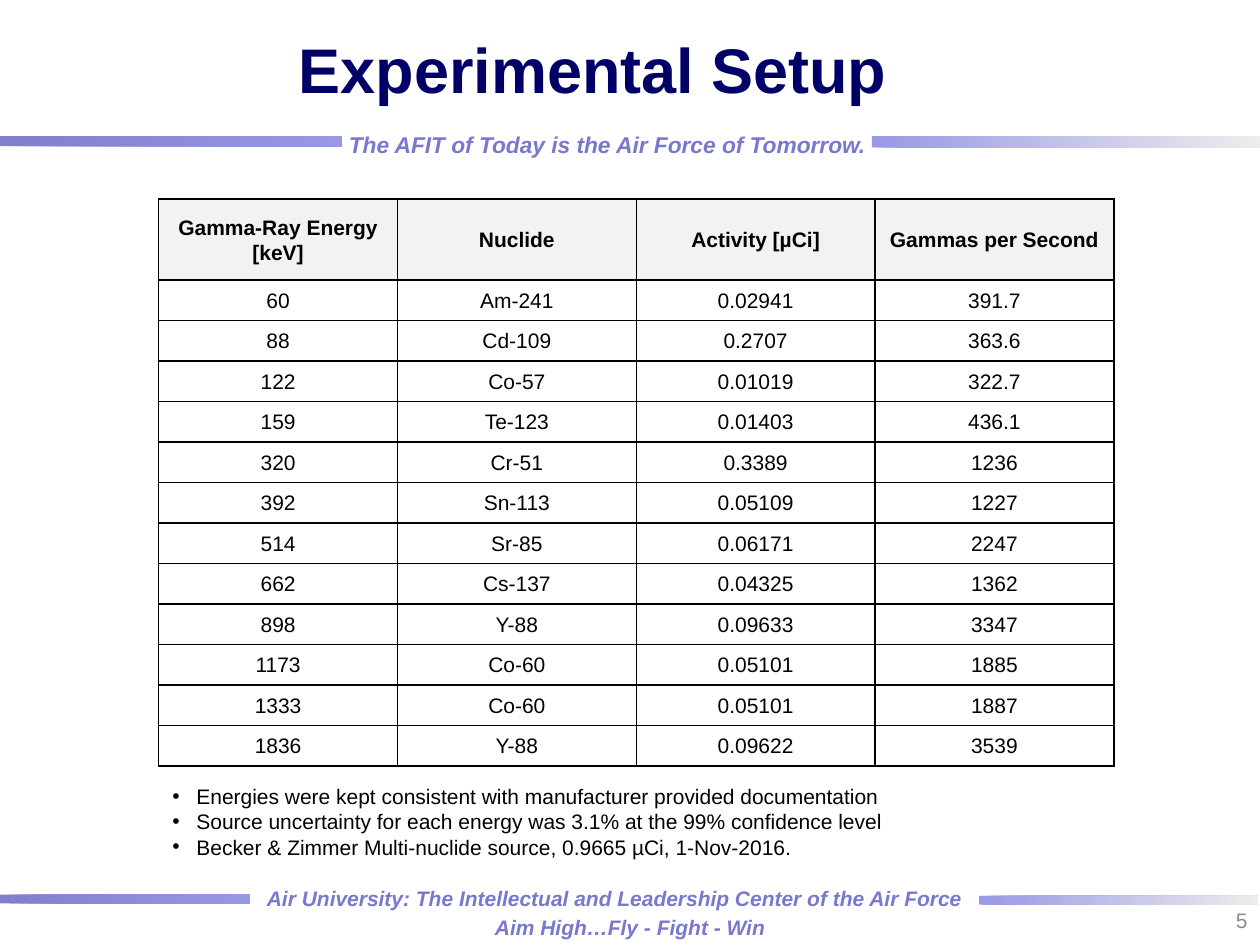
from lxml import etree
from pptx import Presentation
from pptx.dml.color import RGBColor
from pptx.enum.shapes import MSO_SHAPE
from pptx.enum.text import MSO_ANCHOR, PP_ALIGN
from pptx.oxml.ns import qn
from pptx.util import Inches, Pt

RECTANGLE = MSO_SHAPE.RECTANGLE
TOP, MIDDLE = MSO_ANCHOR.TOP, MSO_ANCHOR.MIDDLE
LEFT, CENTER, RIGHT = PP_ALIGN.LEFT, PP_ALIGN.CENTER, PP_ALIGN.RIGHT

NAVY = RGBColor(0x00, 0x00, 0x66)
DEEP_BLUE = RGBColor(0x00, 0x00, 0x99)
BLUE = RGBColor(0x33, 0x33, 0xCC)
LAVENDER = RGBColor(0x78, 0x78, 0xCE)
SILVER = RGBColor(0xDD, 0xDD, 0xDD)
GRAY = RGBColor(0x8C, 0x8C, 0x8C)
HEADER_GRAY = RGBColor(0xF2, 0xF2, 0xF2)
BLACK = RGBColor(0x00, 0x00, 0x00)
WHITE = RGBColor(0xFF, 0xFF, 0xFF)

HEADINGS = ("Gamma-Ray Energy [keV]", "Nuclide", "Activity [µCi]", "Gammas per Second")
SOURCES = (
    ("60", "Am-241", "0.02941", "391.7"),
    ("88", "Cd-109", "0.2707", "363.6"),
    ("122", "Co-57", "0.01019", "322.7"),
    ("159", "Te-123", "0.01403", "436.1"),
    ("320", "Cr-51", "0.3389", "1236"),
    ("392", "Sn-113", "0.05109", "1227"),
    ("514", "Sr-85", "0.06171", "2247"),
    ("662", "Cs-137", "0.04325", "1362"),
    ("898", "Y-88", "0.09633", "3347"),
    ("1173", "Co-60", "0.05101", "1885"),
    ("1333", "Co-60", "0.05101", "1887"),
    ("1836", "Y-88", "0.09622", "3539"),
)
NOTES = (
    "Energies were kept consistent with manufacturer provided documentation",
    "Source uncertainty for each energy was 3.1% at the 99% confidence level",
    "Becker & Zimmer Multi-nuclide source, 0.9665 µCi, 1-Nov-2016.",
)


class SlideBuilder:
    """Places styled elements on a page divided into 100 columns and 75 rows."""

    font = "Arial"
    size = 12
    columns, rows = 100, 75

    def __init__(self, deck):
        self.deck = deck
        self.page = deck.slides.add_slide(deck.slide_layouts[6])

    def area(self, column, row, width, height):
        """Turn grid units into left, top, width and height."""
        across = self.deck.slide_width / self.columns
        down = self.deck.slide_height / self.rows
        return (round(column * across), round(row * down),
                round(width * across), round(height * down))

    def style(self, para, color=BLACK, size=size, bold=False, italic=False, align=LEFT):
        para.alignment = align
        for span in para.runs:
            span.font.name = self.font
            span.font.size = Pt(size)
            span.font.bold = bold
            span.font.italic = italic
            span.font.color.rgb = color

    def text(self, area, words, anchor=TOP, wrap=True, **style):
        box = self.page.shapes.add_textbox(*self.area(*area))
        frame = box.text_frame
        frame.word_wrap = wrap
        frame.vertical_anchor = anchor
        frame.text = words
        for para in frame.paragraphs:
            self.style(para, **style)
        return frame

    def motto(self, area, words, size=size):
        self.text(area, words, wrap=False, color=LAVENDER, size=size, bold=True, italic=True)

    def bullets(self, area, lines):
        frame = self.text(area, "\n".join(lines))
        indent = Inches(0.19)
        for para in frame.paragraphs:
            properties = para._p.get_or_add_pPr()
            properties.set("marL", str(indent))
            properties.set("indent", str(-indent))
            etree.SubElement(properties, qn("a:buFont"), typeface=self.font)
            etree.SubElement(properties, qn("a:buChar"), char="•")

    def band(self, area, start, end):
        """Draw a half-transparent bar that fades from left to right."""
        bar = self.page.shapes.add_shape(RECTANGLE, *self.area(*area))
        bar.shadow.inherit = False
        bar.line.fill.background()
        bar.fill.gradient()
        bar.fill.gradient_angle = 0
        for stop, color in zip(bar.fill.gradient_stops, (start, end)):
            stop.color.rgb = color
        for color in bar._element.spPr.iter(qn("a:srgbClr")):
            etree.SubElement(color, qn("a:alpha"), val="50000")

    def table(self, area, headings, records):
        """Draw equal columns, with a heading row twice as high as the others."""
        left, top, width, height = self.area(*area)
        table = self.page.shapes.add_table(
            len(records) + 1, len(headings), left, top, width, height).table
        for column in table.columns:
            column.width = round(width / len(headings))
        unit = round(height / (len(records) + 2))
        for index, record in enumerate((headings, *records)):
            is_heading = index == 0
            table.rows[index].height = unit * 2 if is_heading else unit
            for cell, words in zip(table.rows[index].cells, record):
                self.cell(cell, words, is_heading)

    def cell(self, cell, words, is_heading):
        cell.text = words
        cell.vertical_anchor = MIDDLE
        cell.margin_left = cell.margin_right = Inches(0.07)
        cell.margin_top = cell.margin_bottom = 0
        para = cell.text_frame.paragraphs[0]
        para.line_spacing = 1.07
        self.style(para, bold=is_heading, align=CENTER)
        properties = cell._tc.get_or_add_tcPr()
        for side in ("a:lnL", "a:lnR", "a:lnT", "a:lnB"):
            border = etree.SubElement(properties, qn(side), w=str(Pt(1)))
            paint = etree.SubElement(border, qn("a:solidFill"))
            etree.SubElement(paint, qn("a:srgbClr"), val=str(BLACK))
        cell.fill.solid()
        cell.fill.fore_color.rgb = HEADER_GRAY if is_heading else WHITE


def main():
    deck = Presentation()
    deck.slide_width, deck.slide_height = Inches(10), Inches(7.5)
    slide = SlideBuilder(deck)

    slide.band((0, 71, 19.8, 0.7), DEEP_BLUE, BLUE)
    slide.band((77.7, 71.1, 22.1, 0.7), BLUE, SILVER)
    slide.motto((20.2, 69.8, 57.6, 2.9),
                "Air University: The Intellectual and Leadership Center of the Air Force")
    slide.band((69.2, 10.8, 30.8, 0.9), BLUE, SILVER)
    slide.band((0, 10.8, 27.1, 0.8), DEEP_BLUE, BLUE)
    slide.motto((38.3, 72.1, 23.6, 2.9), "Aim High…Fly - Fight - Win")
    slide.motto((26.7, 9.9, 43.5, 3.1),
                "The AFIT of Today is the Air Force of Tomorrow.", size=13)

    slide.text((10.8, 0, 72.5, 10.8), "Experimental Setup", anchor=MIDDLE,
               color=NAVY, size=36, bold=True, align=CENTER)
    slide.table((12.6, 15.8, 75.8, 45), HEADINGS, SOURCES)
    slide.text((76.7, 71, 23.3, 4), "5", anchor=MIDDLE, color=GRAY, align=RIGHT)
    slide.bullets((12.7, 61.7, 75.8, 10.1), NOTES)

    deck.save("out.pptx")


if __name__ == "__main__":
    main()
